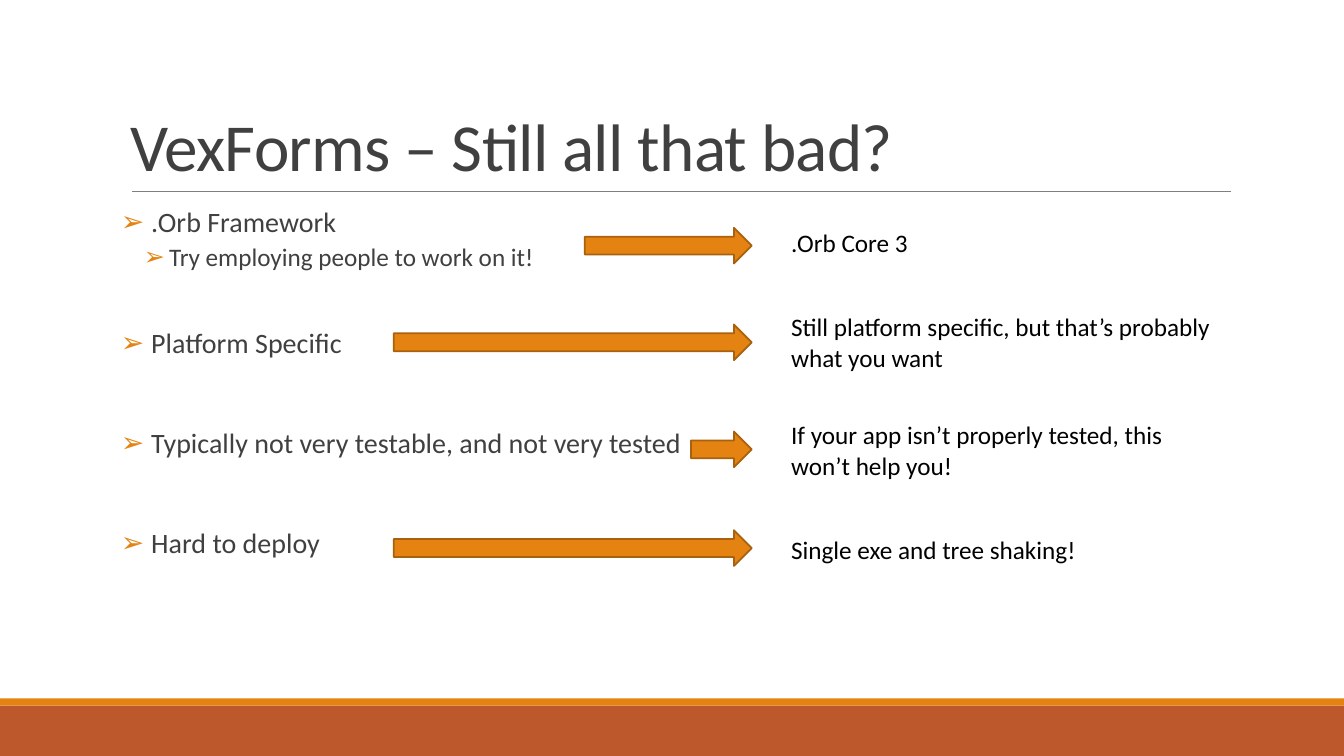
from lxml import etree
from pptx import Presentation, util as u
from pptx.dml.color import RGBColor
from pptx.enum import shapes, text
from pptx.oxml import ns

PX = 9525  # EMU per pixel, 96 pixels to the inch
ORANGE, RUST, ORANGE_EDGE = "E48312", "BD582C", "A9610D"
GREY, RULE_GREY, BLACK = "404040", "808080", "000000"
ARROW_TIP, ARROW_HEIGHT = 716, 34
ANSWER_LEFT, ANSWER_WIDTH = 744, 420

# Wording, level, space before in points
COMPLAINTS = [
    (".Orb Framework", 0, 12),
    ("Try employing people to work on it!", 1, 2),
    ("Platform Specific", 0, 37),
    ("Typically not very testable, and not very tested", 0, 48),
    ("Hard to deploy", 0, 48),
]
# Size, space after in points; text indent, hanging bullet in pixels
LEVELS = [(20, 2, 29, 29), (18, 4, 46, 24)]

# Wording, top, height, arrow left, arrow top
ANSWERS = [
    (".Orb Core 3", 212, 38, 557, 217),
    ("Still platform specific, but that’s probably what you want", 292, 68, 375, 309),
    ("If your app isn’t properly tested, this won’t help you!", 395, 68, 658, 411),
    ("Single exe and tree shaking!", 504, 38, 375, 505),
]


def px(*lengths):
    return [u.Emu(length * PX) for length in lengths]


def color(value):
    return RGBColor.from_string(value)


def apply(target, values):
    for name, value in values.items():
        setattr(target, name, value)


def write(paragraph, wording, size, ink):
    run = paragraph.add_run()
    run.text = wording
    apply(run.font, {"name": "Calibri", "size": u.Pt(size)})
    run.font.color.rgb = color(ink)
    return run


def place(holder, left, top, width, height):
    apply(holder, dict(zip(("left", "top", "width", "height"),
                           px(left, top, width, height))))


def add_block(slide, kind, box, fill, edge=None):
    block = slide.shapes.add_shape(kind, *px(*box))
    block.shadow.inherit = False
    block.fill.solid()
    block.fill.fore_color.rgb = color(fill)
    if edge:
        block.line.color.rgb = color(edge)
        block.line.width = u.Pt(1.25)
    else:
        block.line.fill.background()


def add_rule(slide, left, right, y):
    rule = slide.shapes.add_connector(shapes.MSO_CONNECTOR.STRAIGHT,
                                      *px(left, y, right, y))
    rule.line.color.rgb = color(RULE_GREY)
    rule.line.width = u.Pt(0.5)
    etree.SubElement(rule._element.spPr, ns.qn("a:effectLst"))


def add_bullet(paragraph, indent, hanging):
    properties = paragraph._p.get_or_add_pPr()
    properties.set("marL", str(indent * PX))
    properties.set("indent", str(-hanging * PX))
    tint = etree.SubElement(properties, ns.qn("a:buClr"))
    etree.SubElement(tint, ns.qn("a:srgbClr")).set("val", ORANGE)
    etree.SubElement(properties, ns.qn("a:buChar")).set("char", "➢")


def fill_title(title, wording):
    place(title, 115, 28, 1056, 153)
    apply(title.text_frame, {"vertical_anchor": text.MSO_ANCHOR.BOTTOM,
                             "auto_size": text.MSO_AUTO_SIZE.NONE})
    heading = title.text_frame.paragraphs[0]
    apply(heading, {"alignment": text.PP_ALIGN.LEFT, "line_spacing": 0.85})
    run = write(heading, wording, 48, GREY)
    run.font._element.set("spc", "-50")


def fill_complaints(body):
    place(body, 115, 194, 553, 414)
    frame = body.text_frame
    apply(frame, {"margin_left": 0, "margin_right": 0,
                  "vertical_anchor": text.MSO_ANCHOR.TOP,
                  "auto_size": text.MSO_AUTO_SIZE.NONE})
    for number, (wording, level, before) in enumerate(COMPLAINTS):
        complaint = frame.add_paragraph() if number else frame.paragraphs[0]
        size, after, indent, hanging = LEVELS[level]
        apply(complaint, {"level": level, "line_spacing": 0.9,
                          "space_before": u.Pt(before),
                          "space_after": u.Pt(after)})
        add_bullet(complaint, indent, hanging)
        write(complaint, wording, size, GREY)


def add_answer(slide, wording, top, height):
    answer = slide.shapes.add_textbox(*px(ANSWER_LEFT, top, ANSWER_WIDTH, height))
    apply(answer.text_frame, {"word_wrap": True,
                              "auto_size": text.MSO_AUTO_SIZE.SHAPE_TO_FIT_TEXT})
    write(answer.text_frame.paragraphs[0], wording, 18, BLACK)


def main():
    deck = Presentation()
    deck.slide_width, deck.slide_height = px(1280, 720)
    slide = deck.slides.add_slide(deck.slide_layouts[1])
    title, body = slide.placeholders

    # Footer bands and title rule
    rectangle = shapes.MSO_SHAPE.RECTANGLE
    add_block(slide, rectangle, (0, 672, 1280, 48), RUST)
    add_block(slide, rectangle, (0, 665, 1280, 7), ORANGE)
    add_rule(slide, 126, 1172, 182)

    # Title and complaints
    fill_title(title, "VexForms – Still all that bad?")
    fill_complaints(body)

    # Answers, each with an arrow ending at the same tip
    for wording, top, height, arrow_left, arrow_top in ANSWERS:
        add_answer(slide, wording, top, height)
        add_block(slide, shapes.MSO_SHAPE.RIGHT_ARROW,
                  (arrow_left, arrow_top, ARROW_TIP - arrow_left, ARROW_HEIGHT),
                  ORANGE, ORANGE_EDGE)

    deck.save("out.pptx")


if __name__ == "__main__":
    main()
